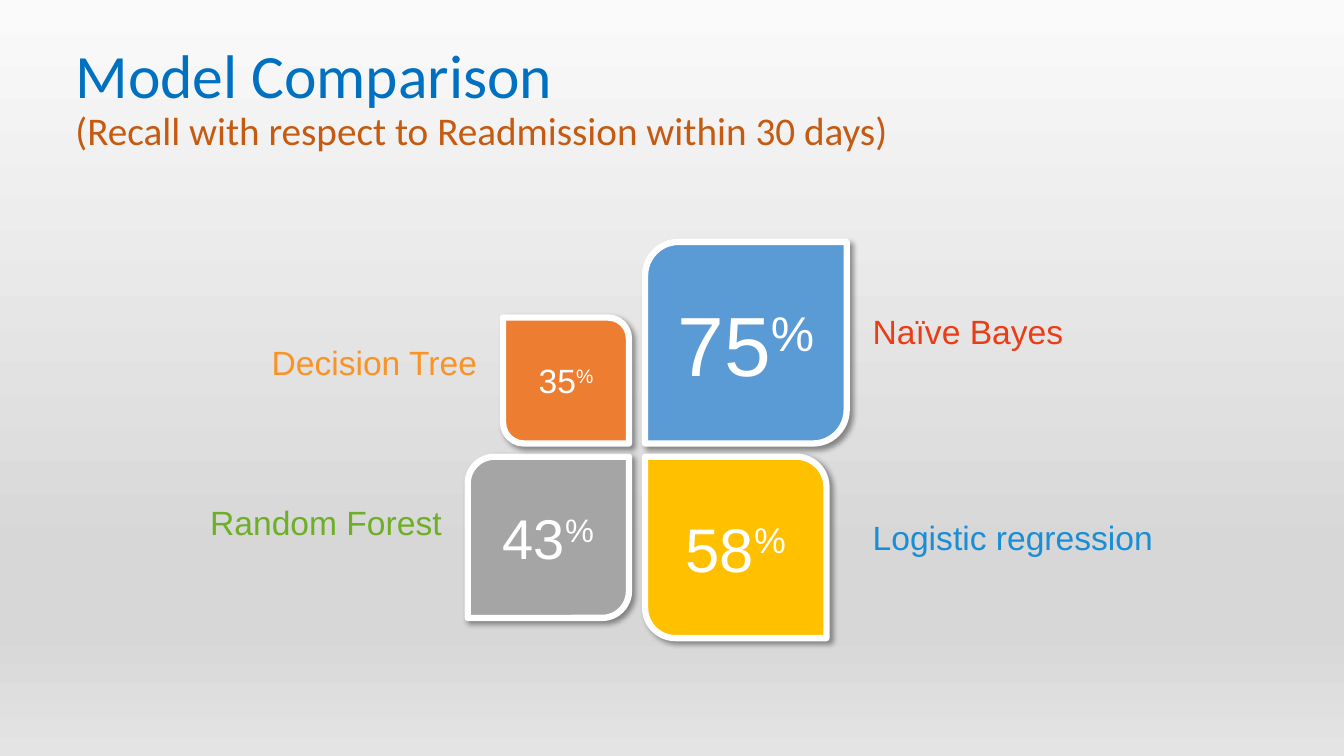
from pptx import Presentation
from pptx.dml.color import RGBColor
from pptx.enum.shapes import MSO_SHAPE
from pptx.enum.text import MSO_ANCHOR, MSO_AUTO_SIZE, PP_ALIGN
from pptx.oxml import parse_xml
from pptx.oxml.ns import nsdecls
from pptx.util import Pt

PETAL = MSO_SHAPE.ROUND_2_DIAG_RECTANGLE
TOP, MIDDLE = MSO_ANCHOR.TOP, MSO_ANCHOR.MIDDLE
LEFT, CENTER, RIGHT = PP_ALIGN.LEFT, PP_ALIGN.CENTER, PP_ALIGN.RIGHT
FIT_SHAPE = MSO_AUTO_SIZE.SHAPE_TO_FIT_TEXT

# Content: model, recall, tile side, number size, column, row, label top
MODELS = [
    ("Naïve Bayes", "75", 144, 60, "right", "upper", 218.2),
    ("Random Forest", "43", 115.2, 40, "left", "lower", 355),
    ("Decision Tree", "35", 90, 24, "left", "upper", 240.5),
    ("Logistic regression", "58", 129.6, 44, "right", "lower", 365.8),
]
HEADINGS = [
    ("Model Comparison", "title"),
    ("(Recall with respect to Readmission within 30 days)", "subtitle"),
]

THEME = {
    "body_font": "Arial",
    "heading_font": "Calibri",
    "title": (44, "0070C0"),
    "subtitle": (28, "C55A11"),
    "label_size": 24,
    "white": "FFFFFF",
    "border": 4.5,
    "background": [(0, "FAFAFA"), (74, "D7D7D7"), (83, "D7D7D7"), (100, "E4E4E4")],
    # model: (tile colour, label colour)
    "Naïve Bayes": ("5B9BD5", "EA3D15"),
    "Random Forest": ("A5A5A5", "6DAF27"),
    "Decision Tree": ("ED7D31", "F99325"),
    "Logistic regression": ("FFC000", "188ED6"),
}

# Layout: tiles meet around a narrow cross-shaped gap
SLIDE_WIDTH, SLIDE_HEIGHT = 960, 540
GAP_LEFT, GAP_RIGHT = 449.3, 460.8
GAP_TOP, GAP_BOTTOM = 316.8, 326.2
LABEL_WIDTH, LABEL_HEIGHT, LABEL_GAP = 249.8, 36, 11.5
CORNER = 0.1667


def style(span, font, size, color):
    span.font.name = font
    span.font.size = Pt(size)
    span.font.color.rgb = RGBColor.from_string(color)


def add_background(page):
    stops = "".join(
        f'<a:gs pos="{pos * 1000}"><a:srgbClr val="{color}"/></a:gs>'
        for pos, color in THEME["background"])
    page.element.cSld.insert(0, parse_xml(
        f'<p:bg {nsdecls("p", "a")}><p:bgPr><a:gradFill rotWithShape="1">'
        f'<a:gsLst>{stops}</a:gsLst><a:lin ang="5400000" scaled="0"/>'
        '</a:gradFill><a:effectLst/></p:bgPr></p:bg>'))


def add_shadow(shape):
    shape.shadow.inherit = False
    effects = shape.element.spPr.find("{*}effectLst")
    effects.append(parse_xml(
        f'<a:outerShdw {nsdecls("a")} blurRad="{Pt(4)}" dist="{Pt(3)}" '
        'dir="2700000" algn="tl" rotWithShape="0"><a:srgbClr val="000000">'
        '<a:alpha val="40000"/></a:srgbClr></a:outerShdw>'))


def add_text_box(page, left, top, width, height):
    box = page.shapes.add_textbox(Pt(left), Pt(top), Pt(width), Pt(height))
    box.text_frame.word_wrap = True
    box.text_frame.vertical_anchor = TOP
    return box.text_frame


def add_heading(page):
    frame = add_text_box(page, 46.8, 28.8, 828, 104.4)
    frame.text = "\n".join(text for text, _ in HEADINGS)
    for para, (_, role) in zip(frame.paragraphs, HEADINGS):
        para.line_spacing = 0.9
        style(para.runs[0], THEME["heading_font"], *THEME[role])


def add_tile(page, model, recall, side, size, column, row):
    left = GAP_RIGHT if column == "right" else GAP_LEFT - side
    top = GAP_BOTTOM if row == "lower" else GAP_TOP - side
    tile = page.shapes.add_shape(PETAL, Pt(left), Pt(top), Pt(side), Pt(side))
    # The square corners lie on one diagonal, mirrored in neighbouring tiles
    rising = (column == "right") == (row == "upper")
    tile.adjustments[0] = CORNER if rising else 0
    tile.adjustments[1] = 0 if rising else CORNER
    tile.fill.solid()
    tile.fill.fore_color.rgb = RGBColor.from_string(THEME[model][0])
    tile.line.color.rgb = RGBColor.from_string(THEME["white"])
    tile.line.width = Pt(THEME["border"])
    add_shadow(tile)
    tile.text_frame.vertical_anchor = MIDDLE
    para = tile.text_frame.paragraphs[0]
    para.alignment = CENTER
    for text in (recall, "%"):
        span = para.add_run()
        span.text = text
        style(span, THEME["body_font"], size, THEME["white"])
    span.font._element.set("baseline", "30000")


def add_label(page, model, side, column, top):
    if column == "right":
        widest = max(m[2] for m in MODELS if m[4] == "right")
        left = GAP_RIGHT + widest + LABEL_GAP
    else:
        left = GAP_LEFT - side - LABEL_GAP - LABEL_WIDTH
    frame = add_text_box(page, left, top, LABEL_WIDTH, LABEL_HEIGHT)
    frame.auto_size = FIT_SHAPE
    frame.text = model
    para = frame.paragraphs[0]
    para.alignment = LEFT if column == "right" else RIGHT
    style(para.runs[0], THEME["body_font"], THEME["label_size"], THEME[model][1])


def main():
    deck = Presentation()
    deck.slide_width, deck.slide_height = Pt(SLIDE_WIDTH), Pt(SLIDE_HEIGHT)
    page = deck.slides.add_slide(deck.slide_layouts[6])
    add_background(page)

    # Tiles, then their labels
    for model, recall, side, size, column, row, _ in MODELS:
        add_tile(page, model, recall, side, size, column, row)
    for model, _, side, _, column, _, label_top in MODELS:
        add_label(page, model, side, column, label_top)

    add_heading(page)
    deck.save("out.pptx")


if __name__ == "__main__":
    main()
